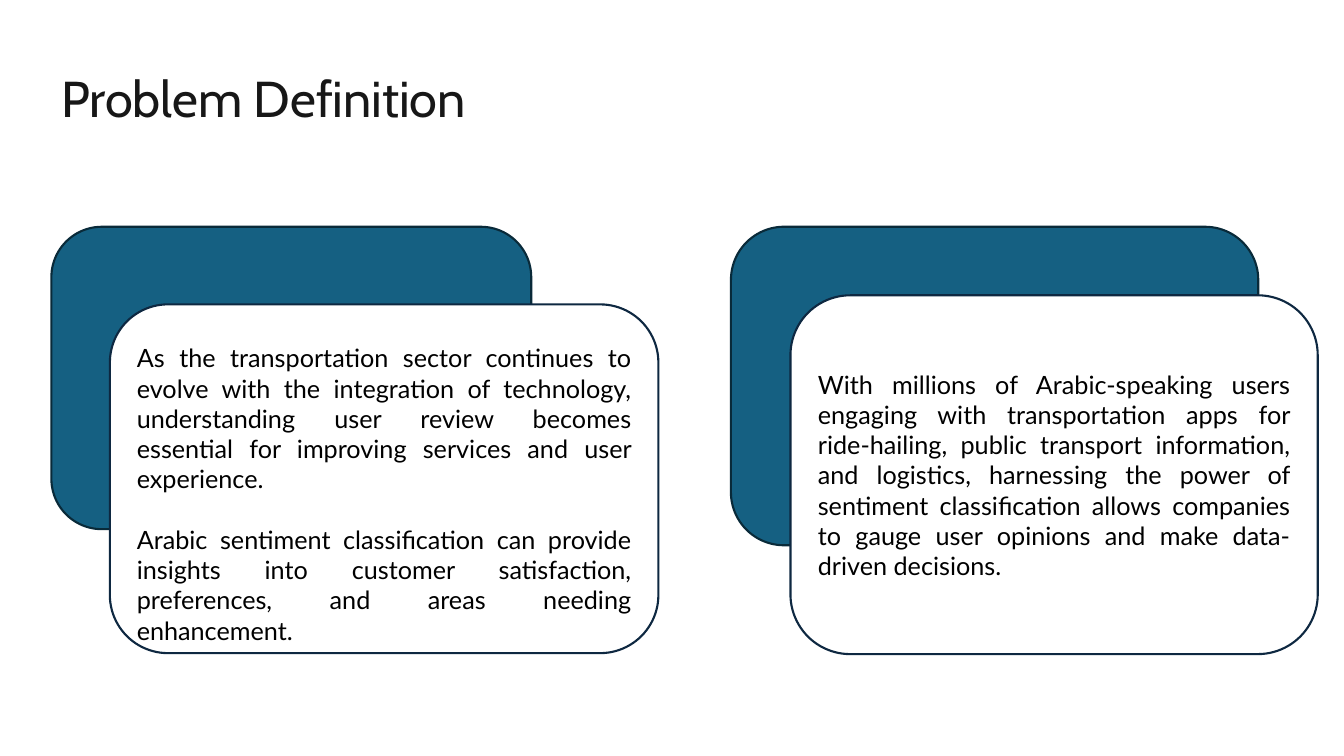
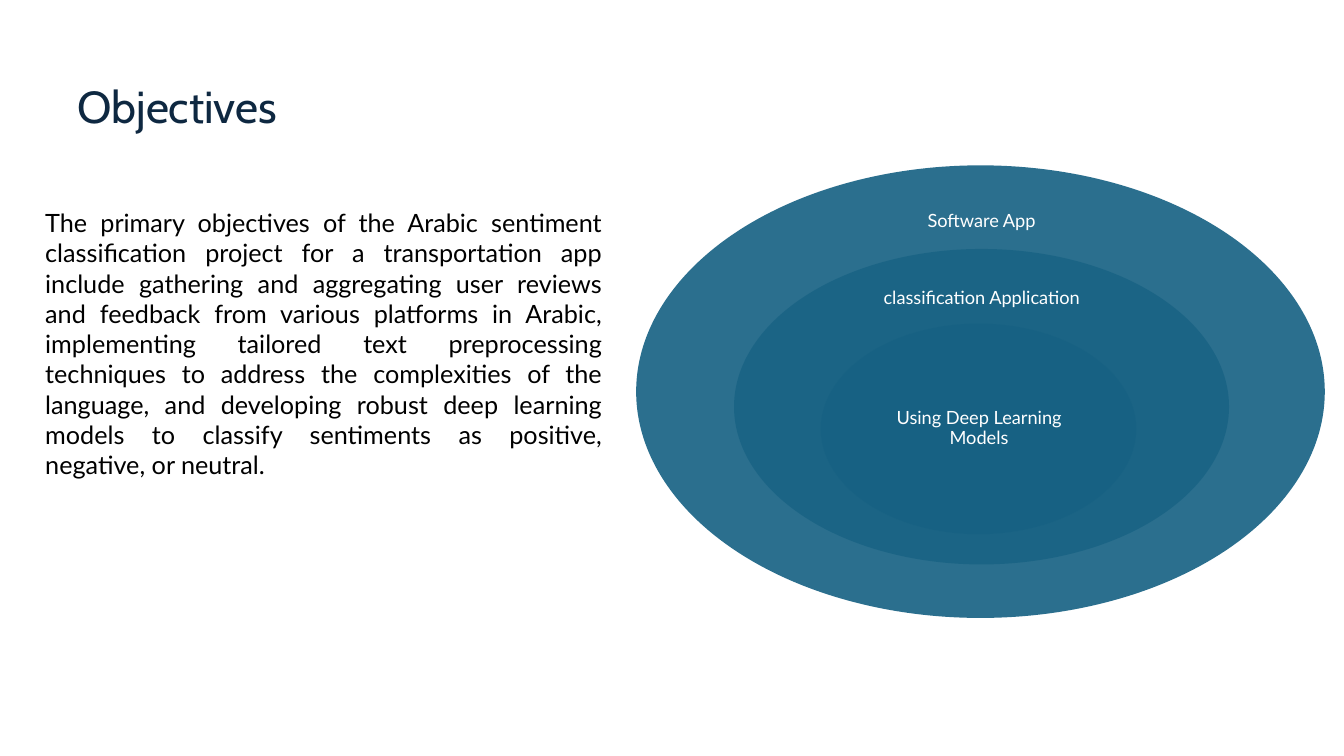
from lxml.etree import SubElement
from pptx import Presentation
from pptx.dml.color import RGBColor
from pptx.enum.shapes import MSO_SHAPE as Shape
from pptx.enum.text import MSO_ANCHOR as Anchor, MSO_AUTO_SIZE as AutoSize, PP_ALIGN as Align
from pptx.oxml.ns import qn
from pptx.util import Inches, Pt

TEAL = RGBColor(0x15, 0x60, 0x82)
DARK_TEAL = RGBColor(0x09, 0x2A, 0x39)
NAVY = RGBColor(0x0E, 0x28, 0x41)
CHARCOAL = RGBColor(0x17, 0x17, 0x17)
BLACK = RGBColor(0, 0, 0)
WHITE = RGBColor(0xFF, 0xFF, 0xFF)

SECTOR_TEXTS = [
    "As the transportation sector continues to evolve with the integration of technology, "
    "understanding user review becomes essential for improving services and user experience.",
    "Arabic sentiment classification can provide insights into customer satisfaction, "
    "preferences, and areas needing enhancement.",
]
USERS_TEXTS = [
    "With millions of Arabic-speaking users engaging with transportation apps for "
    "ride-hailing, public transport information, and logistics, harnessing the power of "
    "sentiment classification allows companies to gauge user opinions and make "
    "data-driven decisions.",
]
OBJECTIVES_TEXTS = [
    "The primary objectives of the Arabic sentiment classification project for a "
    "transportation app include gathering and aggregating user reviews and feedback from "
    "various platforms in Arabic, implementing tailored text preprocessing techniques to "
    "address the complexities of the language, and developing robust deep learning models "
    "to classify sentiments as positive, negative, or neutral.",
]
LAYERS = [
    ("Software App", (6.31, 1.64, 6.83, 4.49), (8.54, 1.86, 2.39, 0.67), 90),
    ("classification Application", (7.28, 2.47, 4.91, 3.13), (8.59, 2.67, 2.29, 0.59), 70),
    ("Using Deep Learning Models", (8.14, 3.21, 3.13, 2.09), (8.6, 3.73, 2.22, 1.05), 50),
]


def inches(box):
    return [Inches(length) for length in box]


class Deck:
    title_font = "Cabin"
    body_font = "Lato"
    body_size = 18
    label_size = 13
    paragraph_gap = 21.6

    def __init__(self):
        self.presentation = Presentation()
        self.presentation.slide_width = Inches(13.33)
        self.presentation.slide_height = Inches(7.5)
        self.slide = None

    def new_slide(self):
        self.slide = self.presentation.slides.add_slide(self.presentation.slide_layouts[6])

    def add_texts(self, frame, texts, font, size, color, align):
        frame.word_wrap = True
        for index, text in enumerate(texts):
            paragraph = frame.paragraphs[0] if index == 0 else frame.add_paragraph()
            paragraph.alignment = align
            if index:
                paragraph.space_before = Pt(self.paragraph_gap)
            run = paragraph.add_run()
            run.text = text
            run.font.name = font
            run.font.size = Pt(size)
            run.font.color.rgb = color

    def title(self, text, box, size, color):
        frame = self.slide.shapes.add_textbox(*inches(box)).text_frame
        frame.auto_size = AutoSize.SHAPE_TO_FIT_TEXT
        self.add_texts(frame, [text], self.title_font, size, color, Align.LEFT)

    def body(self, texts, box):
        frame = self.slide.shapes.add_textbox(*inches(box)).text_frame
        frame.auto_size = AutoSize.SHAPE_TO_FIT_TEXT
        self.add_texts(frame, texts, self.body_font, self.body_size, BLACK, Align.JUSTIFY)

    def panel(self, box, fill, line):
        shape = self.slide.shapes.add_shape(Shape.ROUNDED_RECTANGLE, *inches(box))
        shape.shadow.inherit = False
        shape.fill.solid()
        shape.fill.fore_color.rgb = fill
        shape.line.color.rgb = line
        shape.line.width = Pt(1.5)
        return shape

    def card(self, texts, back_box, front_box, top_inset=0.05):
        self.panel(back_box, TEAL, DARK_TEAL)
        frame = self.panel(front_box, WHITE, NAVY).text_frame
        frame.vertical_anchor = Anchor.MIDDLE
        frame.margin_top = Inches(top_inset)
        self.add_texts(frame, texts, self.body_font, self.body_size, BLACK, Align.JUSTIFY)

    def ellipse(self, group, box, opacity):
        shape = group.shapes.add_shape(Shape.OVAL, *inches(box))
        shape.shadow.inherit = False
        shape.fill.solid()
        shape.fill.fore_color.rgb = TEAL
        shape.line.fill.background()
        color = shape.element.spPr.find(qn("a:solidFill"))[0]
        SubElement(color, qn("a:alpha")).set("val", str(opacity * 1000))

    def label(self, group, text, box):
        frame = group.shapes.add_textbox(*inches(box)).text_frame
        frame.vertical_anchor = Anchor.MIDDLE
        frame.margin_left = frame.margin_right = Inches(0.1)
        frame.margin_top = frame.margin_bottom = Inches(0.1)
        self.add_texts(frame, [text], self.body_font, self.label_size, WHITE, Align.CENTER)
        frame.paragraphs[0].line_spacing = 0.9

    def nested_ellipses(self, layers):
        group = self.slide.shapes.add_group_shape()
        for text, ellipse_box, label_box, opacity in layers:
            self.ellipse(group, ellipse_box, opacity)
            self.label(group, text, label_box)


def main():
    deck = Deck()

    deck.new_slide()
    deck.card(SECTOR_TEXTS, (0.51, 2.25, 4.76, 3), (1.09, 3.02, 5.44, 3.46), top_inset=0.35)
    deck.card(USERS_TEXTS, (7.25, 2.25, 5.23, 3.16), (7.84, 2.93, 5.23, 3.56))
    deck.title("Problem Definition", (0.51, 0.62, 6.67, 1.01), 36, CHARCOAL)

    deck.new_slide()
    deck.body(OBJECTIVES_TEXTS, (0.35, 2.01, 5.72, 2.83))
    deck.title("Objectives", (0.67, 0.73, 6.67, 0.64), 32, NAVY)
    deck.nested_ellipses(LAYERS)

    deck.presentation.save("out.pptx")


if __name__ == "__main__":
    main()
